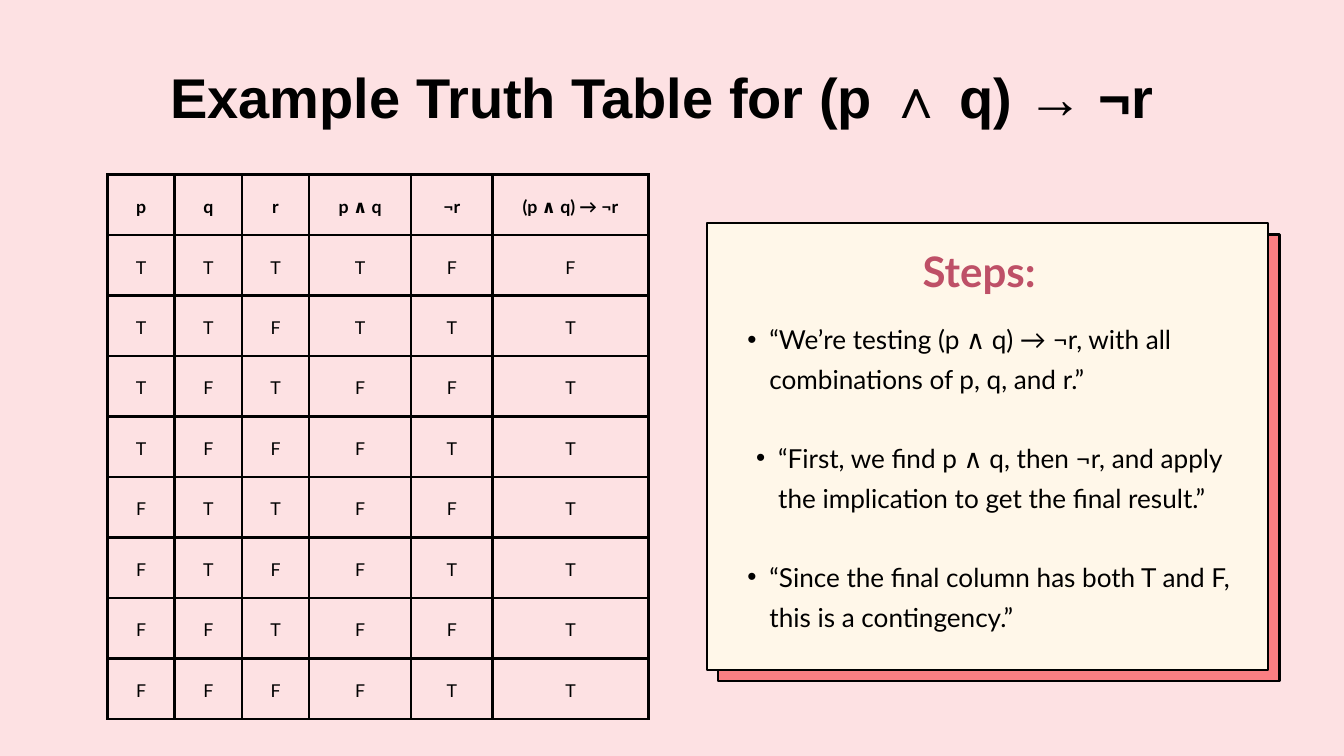
from itertools import product

from lxml import etree
from pptx import Presentation
from pptx import util as u
from pptx.dml.color import RGBColor
from pptx.enum import shapes, text
from pptx.oxml import ns

TITLE = "Example Truth Table for (p ∧ q) → ¬r"
HEADERS = ["p", "q", "r", "p ∧ q", "¬r", "(p ∧ q) → ¬r"]
TRUTH_ROWS = [
    (p, q, r, p and q, not r, not (p and q) or not r)
    for p, q, r in product([True, False], repeat=3)
]
STEPS_HEADING = "Steps:"
STEPS = [
    ("“We’re testing (p ∧ q) → ¬r, with all combinations of p, q, and r.”", 0),
    ("“First, we find p ∧ q, then ¬r, and apply the implication to get the final result.”", 0.13),
    ("“Since the final column has both T and F, this is a contingency.”", 0),
]

COLORS = {
    "background": "FDE1E3",
    "shadow": "FA7F83",
    "card": "FFF7E9",
    "heading": "BE5067",
    "ink": "000000",
}
FORMATS = {
    "title": {"name": "Arial", "size": u.Pt(60), "bold": True},
    "heading": {"name": "Lato", "size": u.Pt(45), "bold": True},
    "step": {"name": "Lato", "size": u.Pt(28), "bold": False},
    "header": {"name": "Lato", "size": u.Pt(19), "bold": True},
    "value": {"name": "Lato", "size": u.Pt(19), "bold": False},
}
SPACING = {"title": 72, "heading": 54, "step": 43.1, "header": 26.6, "value": 26.6}

SLIDE_W, SLIDE_H = 20, 11.25
COLUMN_WIDTHS = [1, 1, 1, 1.52, 1.21, 2.32]
ROW_HEIGHT = 0.9
TABLE_LEFT, TABLE_TOP = 1.6, 2.6
CELL_MARGIN = 0.21
CARD_LEFT, CARD_TOP, CARD_W, CARD_H = 10.52, 3.32, 8.35, 6.65
CARD_OFFSET = 0.17
STEPS_LEFT, STEPS_TOP, STEP_PITCH = 10.79, 4.68, 1.77
SIDES = ["left", "right", "top", "bottom"]


def rgb(key):
    return RGBColor.from_string(COLORS[key])


def write(frame, words, style, color="ink", align=text.PP_ALIGN.CENTER, margin=0):
    frame.word_wrap = True
    paragraph = frame.paragraphs[0]
    paragraph.alignment = align
    paragraph.line_spacing = u.Pt(SPACING[style])
    run = paragraph.add_run()
    run.text = words
    for attribute, value in FORMATS[style].items():
        setattr(run.font, attribute, value)
    run.font.color.rgb = rgb(color)
    return paragraph


def clear_margins(frame):
    for side in SIDES:
        setattr(frame, f"margin_{side}", 0)
    frame.vertical_anchor = text.MSO_ANCHOR.TOP


def add_words(slide, box, *args, **options):
    frame = slide.shapes.add_textbox(*map(u.Inches, box)).text_frame
    clear_margins(frame)
    return write(frame, *args, **options)


def add_title(slide):
    title = slide.shapes.title
    for attribute, value in zip(["left", "top", "width", "height"], [0.98, 0.93, 17.75, 1.2]):
        setattr(title, attribute, u.Inches(value))
    clear_margins(title.text_frame)
    title.text_frame.auto_size = text.MSO_AUTO_SIZE.NONE
    write(title.text_frame, TITLE, "title")


def add_card(slide, offset, color):
    box = [CARD_LEFT + offset, CARD_TOP + offset, CARD_W, CARD_H]
    card = slide.shapes.add_shape(shapes.MSO_SHAPE.RECTANGLE, *map(u.Inches, box))
    card.shadow.inherit = False
    card.fill.solid()
    card.fill.fore_color.rgb = rgb(color)
    card.line.color.rgb = rgb("ink")
    card.line.width = u.Pt(2.25)


def add_borders(cell):
    properties = cell._tc.get_or_add_tcPr()
    for position, edge in enumerate(["lnL", "lnR", "lnT", "lnB"]):
        line = etree.Element(ns.qn(f"a:{edge}"), w=str(u.Pt(3)))
        fill = etree.SubElement(line, ns.qn("a:solidFill"))
        etree.SubElement(fill, ns.qn("a:srgbClr"), val=COLORS["ink"])
        properties.insert(position, line)


def add_truth_table(slide):
    rows = [HEADERS] + [["T" if value else "F" for value in row] for row in TRUTH_ROWS]
    box = [TABLE_LEFT, TABLE_TOP, sum(COLUMN_WIDTHS), ROW_HEIGHT * len(rows)]
    table = slide.shapes.add_table(len(rows), len(HEADERS), *map(u.Inches, box)).table
    table.first_row = table.horz_banding = False
    for column, width in zip(table.columns, COLUMN_WIDTHS):
        column.width = u.Inches(width)
    for r, row in enumerate(rows):
        table.rows[r].height = u.Inches(ROW_HEIGHT)
        for c, words in enumerate(row):
            cell = table.cell(r, c)
            cell.fill.background()
            cell.vertical_anchor = text.MSO_ANCHOR.MIDDLE
            for side in SIDES:
                setattr(cell, f"margin_{side}", u.Inches(CELL_MARGIN))
            add_borders(cell)
            write(cell.text_frame, words, "value" if r else "header")


def add_steps(slide):
    add_words(slide, [STEPS_LEFT, 3.65, 7.56, 0.8], STEPS_HEADING, "heading", "heading")
    for i, (words, shift) in enumerate(STEPS):
        box = [STEPS_LEFT + shift, STEPS_TOP + i * STEP_PITCH, 7.81, 1.2]
        step = add_words(slide, box, words, "step", align=text.PP_ALIGN.LEFT)
        step.level = 1
        properties = step._p.get_or_add_pPr()
        properties.set("marL", str(u.Inches(0.66)))
        properties.set("indent", str(u.Inches(-0.33)))
        etree.SubElement(properties, ns.qn("a:buFont"), typeface="Arial")
        etree.SubElement(properties, ns.qn("a:buChar"), char="•")


def main():
    deck = Presentation()
    deck.slide_width, deck.slide_height = u.Inches(SLIDE_W), u.Inches(SLIDE_H)
    slide = deck.slides.add_slide(deck.slide_layouts[5])
    slide.background.fill.solid()
    slide.background.fill.fore_color.rgb = rgb("background")
    add_title(slide)
    add_card(slide, CARD_OFFSET, "shadow")
    add_card(slide, 0, "card")
    add_truth_table(slide)
    add_steps(slide)
    deck.save("out.pptx")


if __name__ == "__main__":
    main()
